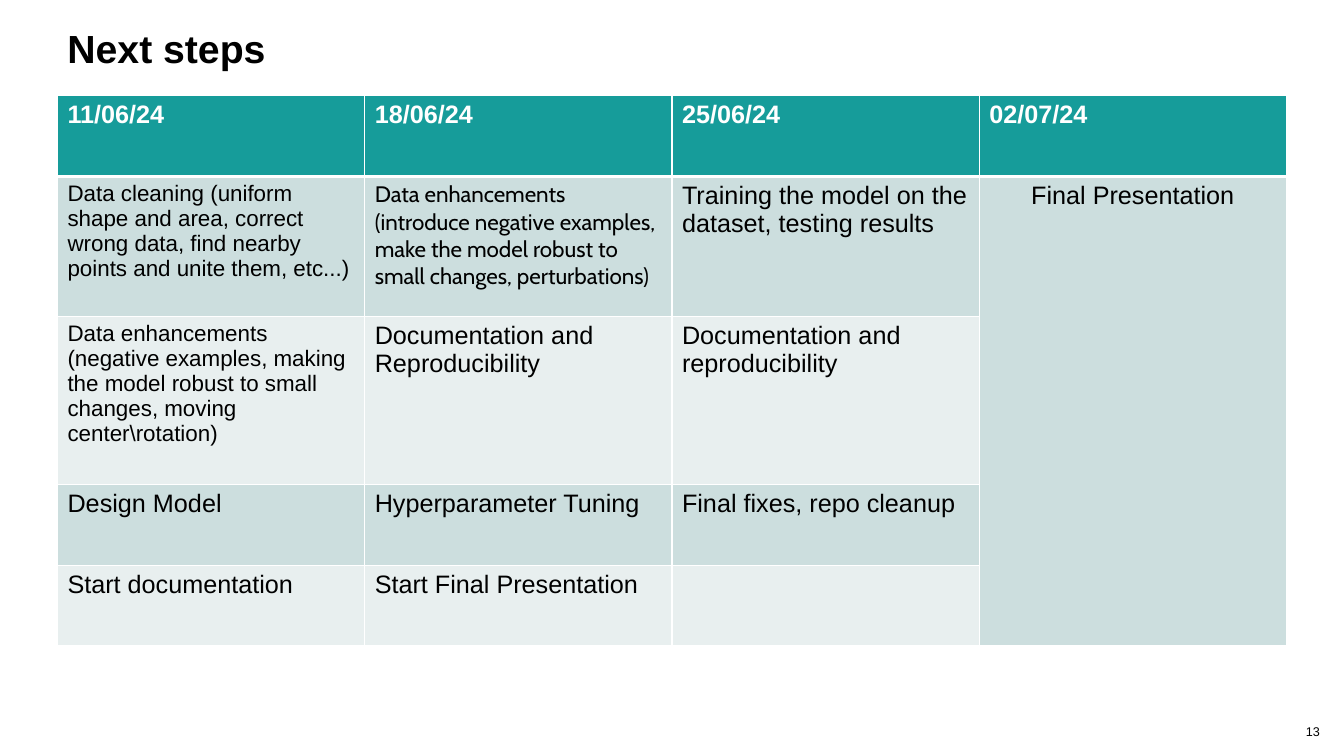
from lxml import etree
from pptx import Presentation
from pptx import util as u
from pptx.dml import color
from pptx.enum import text
from pptx.oxml import ns

PX = 9144  # EMU per px, 100 px to the inch
WHITE, BLACK, TEAL = "FFFFFF", "000000", "169C9A"
BANDS = ["CCDEDE", "E8EFEF"]

ROW_HEIGHTS = [80, 139, 167, 80, 80]
DATES = ["11/06/24", "18/06/24", "25/06/24", "02/07/24"]
TASKS = [
    ["Data cleaning (uniform shape and area, correct wrong data, "
     "find nearby points and unite them, etc...)",
     "Data enhancements\n(introduce negative examples, make the model "
     "robust to small changes, perturbations)",
     "Training the model on the dataset, testing results",
     "Final Presentation"],
    ["Data enhancements\n(negative examples, making the model robust to "
     "small changes, moving center\\rotation)",
     "Documentation and Reproducibility",
     "Documentation and reproducibility", ""],
    ["Design Model", "Hyperparameter Tuning", "Final fixes, repo cleanup", ""],
    ["Start documentation", "Start Final Presentation", "", ""],
]
# (row, column) of cells whose text differs from 18 pt Arial
SPECIAL_FONTS = {(1, 0): (16, "Arial"), (1, 1): (16, "Cabin"), (2, 0): (16, "Arial")}


def px(length):
    return u.Emu(length * PX)


def rgb(value):
    return color.RGBColor.from_string(value)


def write(frame, words, size, font="Arial", ink=BLACK, bold=False, align=None):
    frame.text = words
    frame.word_wrap = True
    for para in frame.paragraphs:
        para.alignment = align
        for span in para.runs:
            span.font.size = u.Pt(size)
            span.font.name = font
            span.font.bold = bold
            span.font.color.rgb = rgb(ink)


def add_label(page, box, words, size, **style):
    label = page.shapes.add_textbox(*map(px, box))
    write(label.text_frame, words, size, **style)
    return label.text_frame


def set_borders(cell, bottom_width):
    properties = cell._tc.get_or_add_tcPr()
    for side in "LRTB":
        width = bottom_width if side == "B" else 1
        line = etree.SubElement(properties, ns.qn(f"a:ln{side}"), w=str(u.Pt(width)))
        fill = etree.SubElement(line, ns.qn("a:solidFill"))
        etree.SubElement(fill, ns.qn("a:srgbClr"), val=WHITE)


def add_title(page, box):
    frame = add_label(page, box, "Next steps", 28, bold=True)
    frame.paragraphs[0].line_spacing = 0.9


def add_schedule(page, box):
    rows = [DATES] + TASKS
    table = page.shapes.add_table(len(rows), len(DATES), *map(px, box)).table
    table.first_row = table.horz_banding = False
    for column in table.columns:
        column.width = px(box[2]) // len(DATES)
    for r, words_in_row in enumerate(rows):
        table.rows[r].height = px(ROW_HEIGHTS[r])
        header = r == 0
        for c, words in enumerate(words_in_row):
            cell = table.cell(r, c)
            set_borders(cell, 3 if header else 1)
            cell.fill.solid()
            cell.fill.fore_color.rgb = rgb(TEAL if header else BANDS[(r - 1) % 2])
            size, font = SPECIAL_FONTS.get((r, c), (18, "Arial"))
            write(cell.text_frame, words, size, font, WHITE if header else BLACK, header)
    # The last date has one task that runs down all rows
    last = len(DATES) - 1
    final = table.cell(1, last)
    final.merge(table.cell(len(TASKS), last))
    final.text_frame.paragraphs[0].alignment = text.PP_ALIGN.CENTER


def add_page_number(page, box):
    frame = add_label(page, box, "13", 9, align=text.PP_ALIGN.RIGHT)
    frame.vertical_anchor = text.MSO_ANCHOR.MIDDLE


def main():
    deck = Presentation()
    deck.slide_width, deck.slide_height = px(1333), px(750)
    page = deck.slides.add_slide(deck.slide_layouts[6])
    add_title(page, (57, 24, 1159, 71))
    add_schedule(page, (57, 95, 1219, sum(ROW_HEIGHTS)))
    add_page_number(page, (1272, 706, 47, 40))
    deck.save("out.pptx")


if __name__ == "__main__":
    main()
